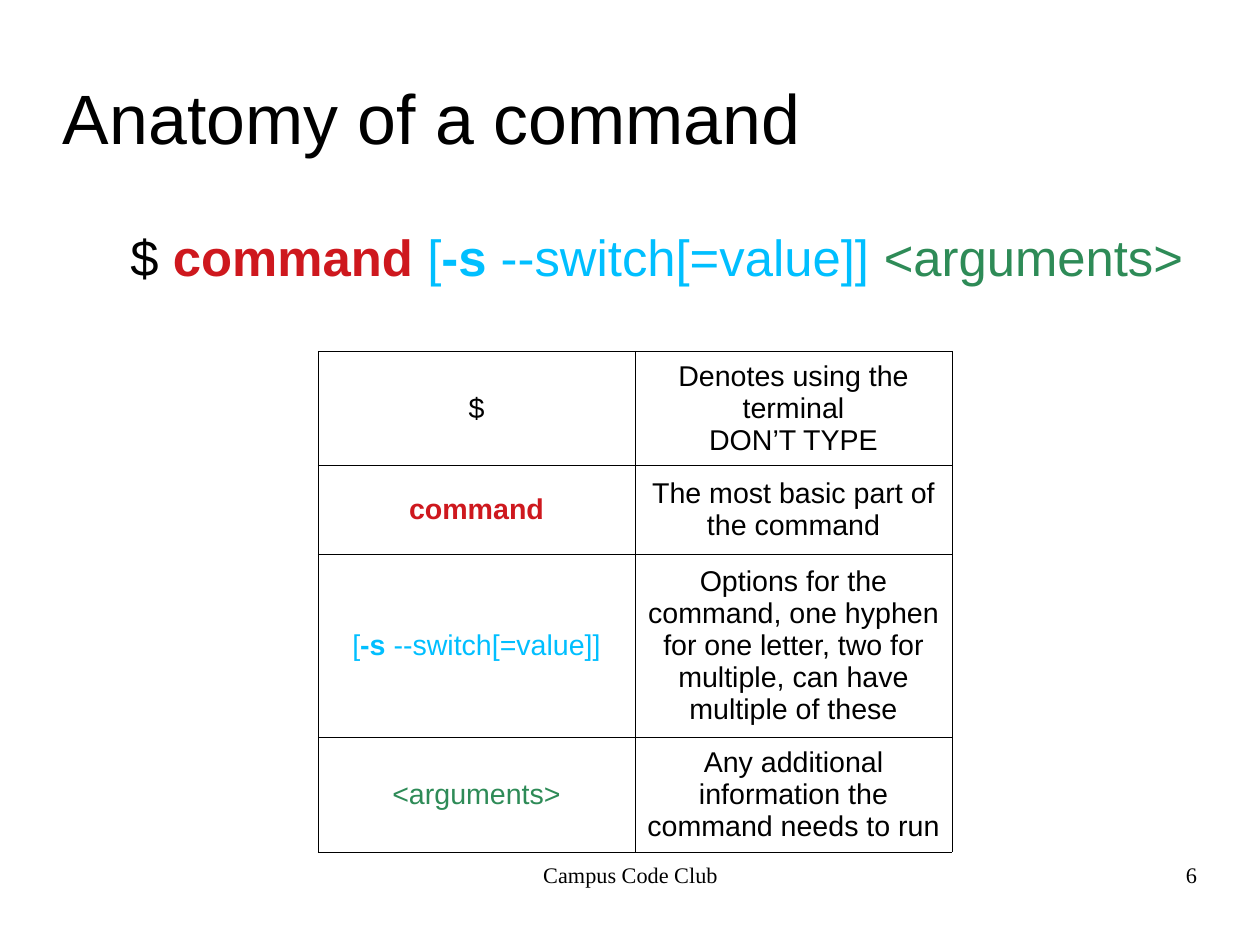
from lxml import etree
from pptx import Presentation
from pptx import util as u
from pptx.dml import color
from pptx.enum import text
from pptx.oxml import ns

PX = 8000  # EMU per px
BLACK, RED, BLUE, GREEN = "000000", "CE181E", "00BFFF", "2E8B57"
LEFT, CENTER, RIGHT = text.PP_ALIGN.LEFT, text.PP_ALIGN.CENTER, text.PP_ALIGN.RIGHT
TOP, MIDDLE = text.MSO_ANCHOR.TOP, text.MSO_ANCHOR.MIDDLE


def write(frame, paragraphs, size, font="Arial", align=CENTER):
    """Each paragraph is a list of (words, colour, bold) runs."""
    frame.word_wrap = True
    for i, runs in enumerate(paragraphs):
        para = frame.paragraphs[0] if i == 0 else frame.add_paragraph()
        para.alignment = align
        for words, colour, bold in runs:
            run = para.add_run()
            run.text = words
            run.font.name, run.font.size, run.font.bold = font, u.Pt(size), bold
            run.font.color.rgb = color.RGBColor.from_string(colour)


def add_line(box, runs, size, font="Arial", align=CENTER, anchor=TOP):
    frame = slide.shapes.add_textbox(*[v * PX for v in box]).text_frame
    frame.margin_left = frame.margin_right = frame.margin_top = frame.margin_bottom = 0
    frame.vertical_anchor = anchor
    write(frame, [runs], size, font, align)
    return frame


deck = Presentation()
deck.slide_width, deck.slide_height = 1260 * PX, 945 * PX
slide = deck.slides.add_slide(deck.slide_layouts[6])

# Title
add_line((63, 38, 1134, 158), [("Anatomy of a command", BLACK, False)], 44,
         align=LEFT, anchor=MIDDLE)

# Command syntax, coloured by part
prompt = [("$", BLACK, False)]
command = [("command", RED, True)]
switches = [("[", BLUE, False), ("-s", BLUE, True), (" --switch[=value]]", BLUE, False)]
arguments = [("<arguments>", GREEN, False)]
gap = [(" ", BLACK, False)]
syntax = add_line((63, 221, 1134, 145),
                  prompt + gap + command + gap + switches + gap + arguments, 32)
syntax.margin_left, syntax.margin_top = 54 * PX, 5 * PX

# Table explaining each part
meanings = [
    (108, prompt, ["Denotes using the terminal", "DON’T TYPE"]),
    (89, command, ["The most basic part of the command"]),
    (172, switches, ["Options for the command, one hyphen for one letter, "
                     "two for multiple, can have multiple of these"]),
    (107, arguments, ["Any additional information the command needs to run"]),
]
table_height = sum(height for height, _, _ in meanings)
table = slide.shapes.add_table(len(meanings), 2, 318 * PX, 351 * PX,
                               634 * PX, table_height * PX).table
table.first_row = table.horz_banding = False
for row, (height, part, meaning) in enumerate(meanings):
    table.rows[row].height = height * PX
    explanation = [[(line, BLACK, False)] for line in meaning]
    for col, paragraphs in enumerate(([part], explanation)):
        cell = table.cell(row, col)
        cell.vertical_anchor = MIDDLE
        write(cell.text_frame, paragraphs, 18)
        # Hairline borders come before the fill in the cell properties
        props = cell._tc.get_or_add_tcPr()
        for side in ("a:lnL", "a:lnR", "a:lnT", "a:lnB"):
            border = etree.SubElement(props, ns.qn(side), w=str(u.Pt(0.06)))
            fill = etree.SubElement(border, ns.qn("a:solidFill"))
            etree.SubElement(fill, ns.qn("a:srgbClr"), val=BLACK)
        cell.fill.background()

# Footer and page number
add_line((431, 861, 399, 65), [("Campus Code Club", BLACK, False)], 14, "Times New Roman")
add_line((903, 861, 294, 65), [("6", BLACK, False)], 14, "Times New Roman", RIGHT)

deck.save("out.pptx")
